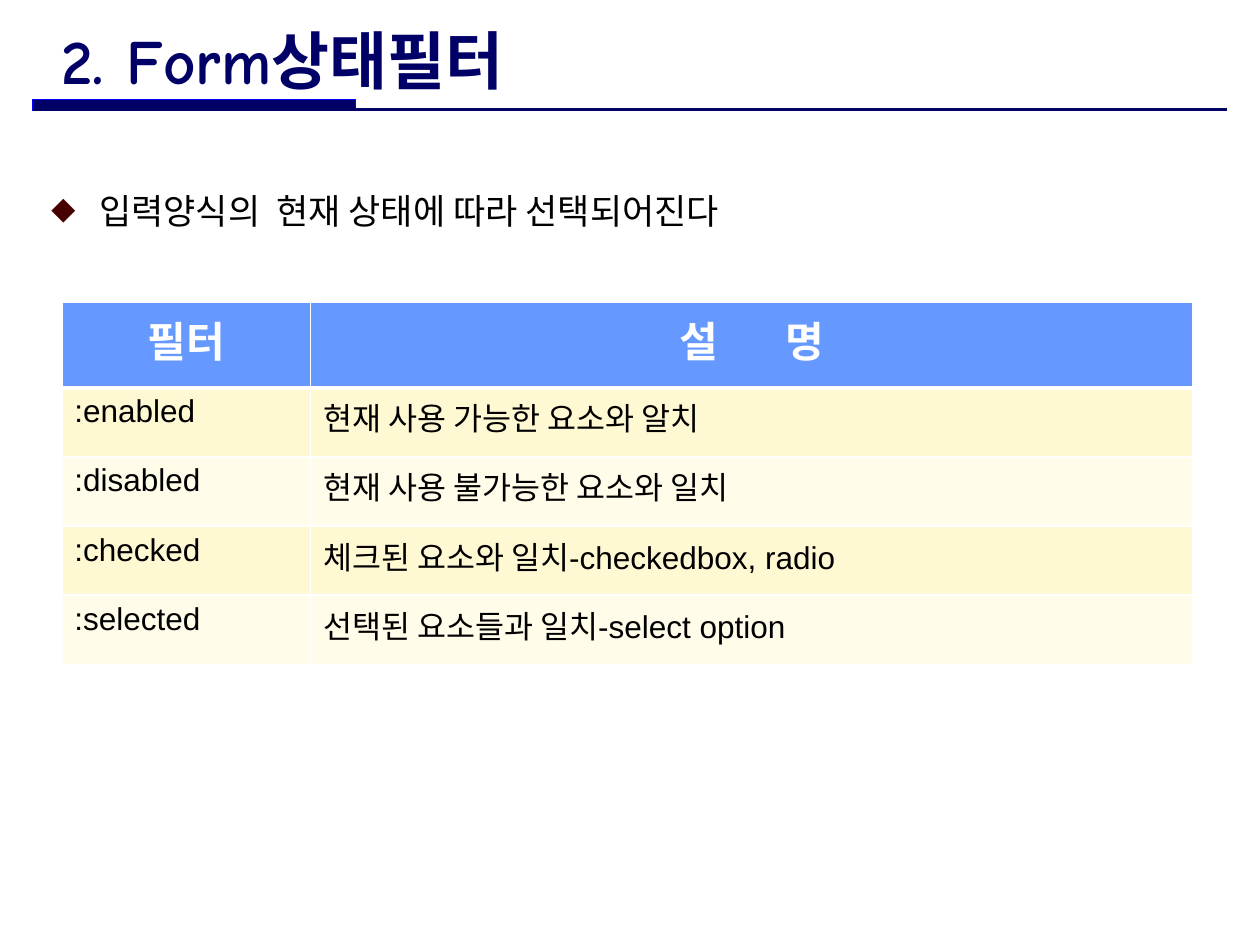
import pptx
import pptx.dml.color
import pptx.enum.shapes
import pptx.enum.text
import pptx.oxml.ns
import pptx.util
from lxml import etree

Inches, Pt = pptx.util.Inches, pptx.util.Pt
RGBColor = pptx.dml.color.RGBColor
ALIGN = pptx.enum.text.PP_ALIGN
ANCHOR = pptx.enum.text.MSO_ANCHOR

NAVY = RGBColor(0x00, 0x00, 0x66)
BLUE = RGBColor(0x00, 0x00, 0xFF)
MAROON = RGBColor(0x46, 0x00, 0x00)
BLACK = RGBColor(0x00, 0x00, 0x00)
WHITE = RGBColor(0xFF, 0xFF, 0xFF)
HEADER_BLUE = RGBColor(0x66, 0x99, 0xFF)
BANDS = (RGBColor(0xFF, 0xF9, 0xD3), RGBColor(0xFF, 0xFC, 0xEA))

KOREAN_FONT = "Noto Sans CJK KR"
TITLE_STYLE = {"name": "Comic Neue", "size": Pt(36), "bold": True}
BODY_STYLE = {"name": KOREAN_FONT, "size": Pt(20), "bold": False}
HEADER_STYLE = {"name": "Arial", "size": Pt(24), "bold": True}
CELL_STYLE = {"name": "Arial", "size": Pt(18), "bold": False}

HEADER_GAP = Pt(33)
ROWS = [
    (":enabled", "현재 사용 가능한 요소와 알치"),
    (":disabled", "현재 사용 불가능한 요소와 일치"),
    (":checked", "체크된 요소와 일치-checkedbox, radio"),
    (":selected", "선택된 요소들과 일치-select option"),
]


def add_element(parent, tag, **values):
    child = etree.SubElement(parent, pptx.oxml.ns.qn(tag))
    for key, value in values.items():
        child.set(key, str(value))
    return child


def add_span(para, text, style, color):
    span = para.add_run()
    span.text = text
    for key, value in style.items():
        setattr(span.font, key, value)
    span.font.color.rgb = color
    add_element(span.font._element, "a:ea", typeface=KOREAN_FONT)
    return span


def add_text_box(page, box, anchor):
    frame = page.shapes.add_textbox(*box).text_frame
    frame.word_wrap = True
    frame.vertical_anchor = anchor
    frame.margin_top = frame.margin_bottom = 0
    return frame.paragraphs[0]


def add_title(page, box):
    """Title above a thick bar that runs into a thin rule."""
    left, top, width, height = box
    bar_height = Inches(0.09)
    bar_top = top + height - bar_height
    bar = page.shapes.add_shape(
        pptx.enum.shapes.MSO_SHAPE.RECTANGLE,
        left, bar_top, int(width * 0.27), bar_height)
    bar.shadow.inherit = False
    bar.fill.solid()
    bar.fill.fore_color.rgb = NAVY
    bar.line.color.rgb = BLUE
    bar.line.width = Pt(0.75)

    rule_top = top + height - Inches(0.01)
    rule = page.shapes.add_connector(
        pptx.enum.shapes.MSO_CONNECTOR.STRAIGHT,
        left, rule_top, left + width, rule_top)
    rule.line.color.rgb = NAVY
    rule.line.width = Pt(1.5)
    add_element(rule._element.spPr, "a:effectLst")

    title_box = (left + Inches(0.13), top, int(width * 0.72), Inches(0.52))
    para = add_text_box(page, title_box, ANCHOR.MIDDLE)
    add_span(para, "2. Form상태필터", TITLE_STYLE, NAVY)


def add_bullet(page, box):
    """One line of body text with a diamond bullet."""
    para = add_text_box(page, box, ANCHOR.TOP)
    indent = Inches(0.38)
    properties = para._p.get_or_add_pPr()
    properties.set("marL", str(indent))
    properties.set("indent", str(-indent))
    color = add_element(properties, "a:buClr")
    add_element(color, "a:srgbClr", val=MAROON)
    add_element(properties, "a:buSzPct", val=70000)
    add_element(properties, "a:buFont", typeface=KOREAN_FONT)
    add_element(properties, "a:buChar", char="◆")
    add_span(para, "입력양식의  현재 상태에 따라 선택되어진다", BODY_STYLE, BLACK)


def format_cell(cell, fill, bottom=1, top=1):
    """White borders, then the fill, in the order the schema asks for."""
    properties = cell._tc.get_or_add_tcPr()
    widths = {"a:lnL": 1, "a:lnR": 1, "a:lnT": top, "a:lnB": bottom}
    for tag, width in widths.items():
        border = add_element(properties, tag, w=Pt(width))
        paint = add_element(border, "a:solidFill")
        add_element(paint, "a:srgbClr", val=WHITE)
    cell.fill.solid()
    cell.fill.fore_color.rgb = fill


def add_filter_table(page, box):
    left, top, width, height = box
    table = page.shapes.add_table(len(ROWS) + 1, 2, *box).table
    table.columns[0].width = int(width * 0.22)
    table.columns[1].width = width - table.columns[0].width
    table.rows[0].height = Inches(0.68)
    for index in range(1, len(ROWS) + 1):
        table.rows[index].height = (height - Inches(0.68)) // len(ROWS)

    # Header: the space in the second heading is widened by tracking
    for column, parts in enumerate((("필터",), ("설", " ", "명"))):
        cell = table.cell(0, column)
        format_cell(cell, HEADER_BLUE, bottom=3)
        para = cell.text_frame.paragraphs[0]
        para.alignment = ALIGN.CENTER
        for part in parts:
            span = add_span(para, part, HEADER_STYLE, WHITE)
            if part == " ":
                span.font._element.set("spc", str(int(HEADER_GAP.pt * 100)))

    # Body rows in alternating bands
    for index, texts in enumerate(ROWS):
        for column, text in enumerate(texts):
            cell = table.cell(index + 1, column)
            format_cell(cell, BANDS[index % 2], top=1 if index else 3)
            add_span(cell.text_frame.paragraphs[0], text, CELL_STYLE, BLACK)


def main():
    deck = pptx.Presentation()
    deck.slide_width, deck.slide_height = Inches(10), Inches(7.5)
    page = deck.slides.add_slide(deck.slide_layouts[6])

    def share(left, top, width, height):
        return (int(deck.slide_width * left), int(deck.slide_height * top),
                int(deck.slide_width * width), int(deck.slide_height * height))

    add_title(page, share(0.026, 0.028, 0.948, 0.089))
    add_bullet(page, share(0.031, 0.2, 0.943, 0.06))
    add_filter_table(page, share(0.049, 0.32, 0.898, 0.383))
    deck.save("out.pptx")


if __name__ == "__main__":
    main()
